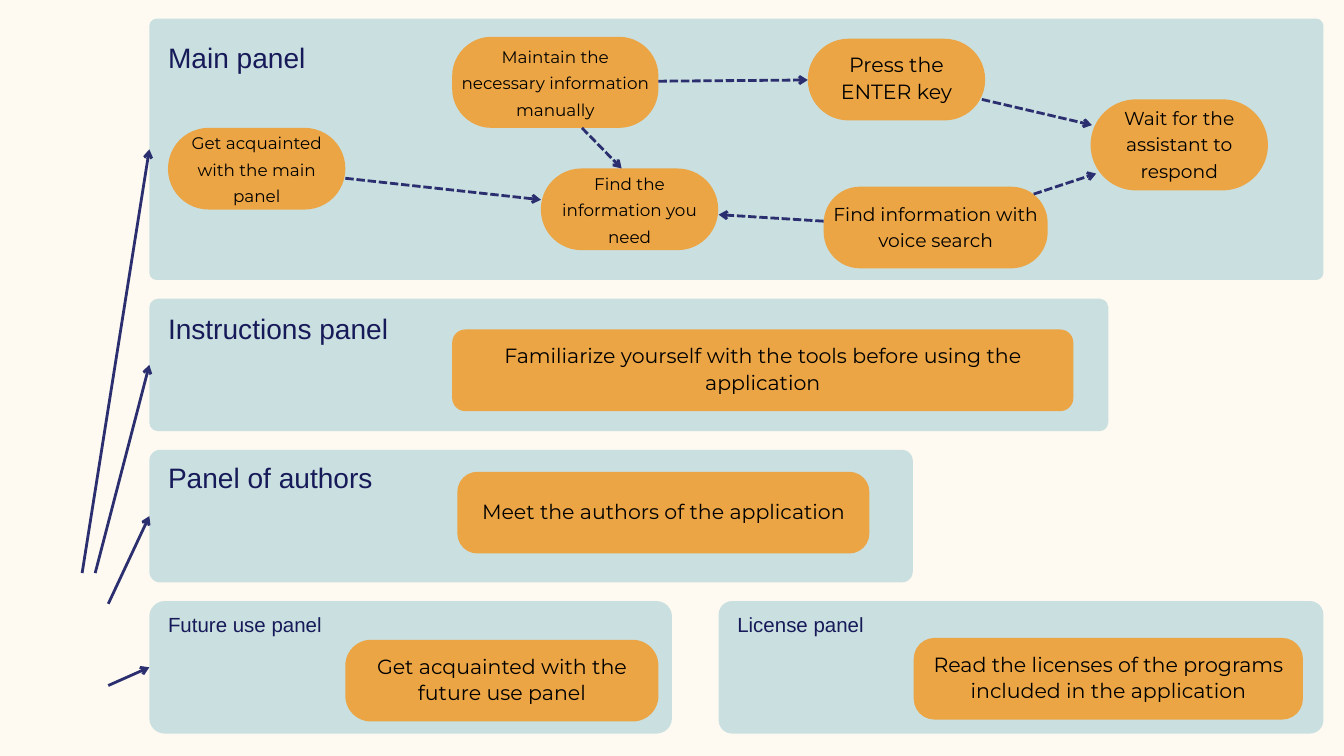
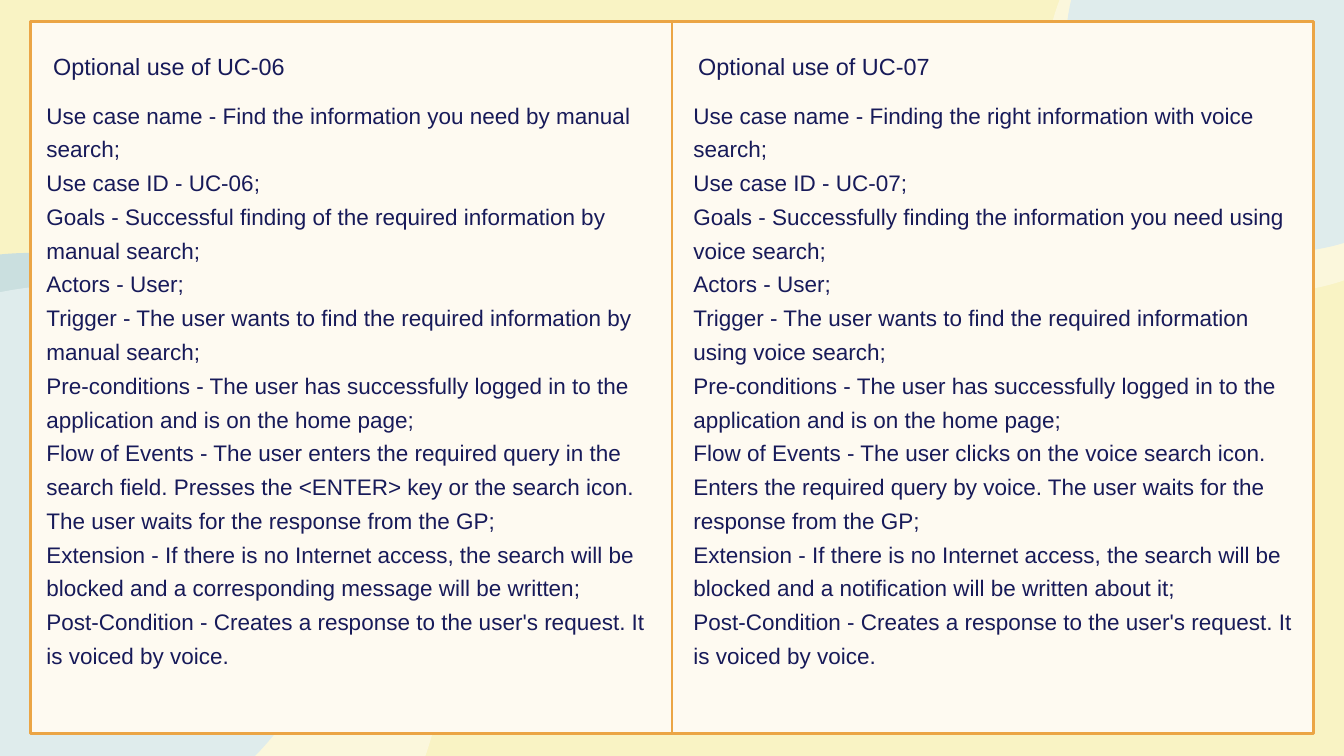
from pptx import Presentation
from pptx.dml.color import RGBColor
from pptx.enum import dml, shapes, text
from pptx.oxml.ns import qn
from pptx.util import Pt
from lxml import etree

CREAM = RGBColor(0xFE, 0xFA, 0xF1)
SAND = RGBColor(0xF9, 0xF3, 0xC4)
MIST = RGBColor(0xCA, 0xDF, 0xDF)
AMBER = RGBColor(0xEB, 0xA5, 0x45)
NAVY = RGBColor(0x17, 0x1A, 0x59)
INDIGO = RGBColor(0x2C, 0x2F, 0x6F)
BLACK = RGBColor(0, 0, 0)
WHITE = RGBColor(0xFF, 0xFF, 0xFF)
SANS, ROUND = "Arial", "Montserrat"
KIND = shapes.MSO_SHAPE

# Panels by row: heading, left, width, corner, heading drop, size, leading
TOP, GAP = 20, 20
ROWS = [
    (280, [("Main panel", 160, 1258, 7.7, 27.5, 30.1, 31.9)]),
    (142, [("Instructions panel", 160, 1027.5, 9.4, 18, 30.1, 31.9)]),
    (142, [("Panel of authors", 160, 818, 11.5, 15.7, 30.1, 31.9)]),
    (142, [("Future use panel", 160, 560, 16.5, 14.3, 21.9, 23.3),
           ("License panel", 770, 648, 14.4, 14.3, 21.9, 23.3)]),
]

# Steps: text, left, top, width, height, corner, size, side padding
STEPS = [
    ("Get acquainted with the main panel", 180, 137, 190, 87.5, 43.5, 18, 4.3),
    ("Maintain the necessary information manually",
     484.5, 39.5, 221, 97.5, 42, 18, 9),
    ("Press the ENTER key", 865.5, 41.5, 190, 87.5, 43.5, 22, 4.3),
    ("Wait for the assistant to respond",
     1168.5, 106.5, 190, 97.5, 48.7, 20, 4.3),
    ("Find information with voice search", 882.5, 200, 240, 87.5, 39, 20, 4.3),
    ("Find the information you need", 579.5, 180.5, 190, 87.5, 43.5, 18, 4.3),
    ("Familiarize yourself with the tools before using the application",
     484.5, 353, 665.5, 87.5, 14, 22, 4.3),
    ("Meet the authors of the application",
     490, 505.5, 441.5, 87.5, 21.5, 22, 4.3),
    ("Get acquainted with the future use panel",
     370, 685.5, 335.5, 87.5, 27.5, 22, 4.3),
    ("Read the licenses of the programs included in the application",
     979, 683.5, 417, 87.5, 22.3, 22, 4.3),
]

# Arrows: from x, y, to x, y
FLOWS = [
    (705.5, 87, 865.5, 85.7), (1052, 106.5, 1170, 134),
    (882.5, 237, 770, 230), (370, 191, 579.5, 214),
    (623.5, 137, 666, 180.5), (1107.5, 208, 1174.5, 186),
]
ENTRIES = [
    (88, 614, 160, 160), (102, 614, 160, 391),
    (116, 647, 160, 553), (116, 734.5, 160, 715),
]

# Use cases: id, body left, body width, heading left
CASES = [("UC-06", 49.7, 661.7, 57), ("UC-07", 743, 641.5, 748)]
# Label, then one text for both cases or one for each
FIELDS = [
    ("Use case name", "Find the information you need by manual search;",
     "Finding the right information with voice search;"),
    ("Use case ID", "UC-06;", "UC-07;"),
    ("Goals",
     "Successful finding of the required information by manual search;",
     "Successfully finding the information you need using voice search;"),
    ("Actors", "User;"),
    ("Trigger",
     "The user wants to find the required information by manual search;",
     "The user wants to find the required information using voice search;"),
    ("Pre-conditions", "The user has successfully logged in to the "
     "application and is on the home page;"),
    ("Flow of Events",
     "The user enters the required query in the search field. Presses the "
     "<ENTER> key or the search icon. The user waits for the response from "
     "the GP;",
     "The user clicks on the voice search icon. Enters the required query by "
     "voice. The user waits for the response from the GP;"),
    ("Extension",
     "If there is no Internet access, the search will be blocked and a "
     "corresponding message will be written;",
     "If there is no Internet access, the search will be blocked and a "
     "notification will be written about it;"),
    ("Post-Condition",
     "Creates a response to the user's request. It is voiced by voice."),
]

# Corner circles: left, top, width, height, colour, opacity
DISCS = [
    (-297, 271, 661, 638.5, MIST, 100), (-314.5, 305, 791, 765.5, WHITE, 41),
    (1142, -173, 458.5, 443.5, MIST, 100), (1120, -151, 481, 464.5, WHITE, 41),
]


def start(deck, color):
    slide = deck.slides.add_slide(deck.slide_layouts[5])
    slide.background.fill.solid()
    slide.background.fill.fore_color.rgb = color
    return slide


def block(slide, kind, box, color, line=None):
    shape = slide.shapes.add_shape(kind, *map(Pt, box))
    shape.shadow.inherit = False
    shape.fill.solid()
    shape.fill.fore_color.rgb = color
    if line is None:
        shape.line.fill.background()
    else:
        shape.line.color.rgb = line
        shape.line.width = Pt(3)
    return shape


def rounded(slide, box, corner, color):
    shape = block(slide, KIND.ROUNDED_RECTANGLE, box, color)
    shape.adjustments[0] = min(0.5, corner / min(box[2:]))


def write(shape, lines, size, lead, font=SANS, color=NAVY,
          align=text.PP_ALIGN.LEFT, anchor=text.MSO_ANCHOR.TOP, pad=(0, 0)):
    frame = shape.text_frame
    frame.word_wrap = True
    frame.auto_size = text.MSO_AUTO_SIZE.NONE
    frame.vertical_anchor = anchor
    frame.margin_left = frame.margin_right = Pt(pad[0])
    frame.margin_top = frame.margin_bottom = Pt(pad[1])
    for i, line in enumerate(lines):
        para = frame.add_paragraph() if i else frame.paragraphs[0]
        para.alignment = align
        para.line_spacing = Pt(lead)
        para.space_before = para.space_after = Pt(0)
        run = para.add_run()
        run.text = line
        run.font.name, run.font.size = font, Pt(size)
        run.font.color.rgb = color


def label(slide, box, lines, size, lead, **style):
    shape = slide.shapes.add_textbox(*map(Pt, box))
    write(shape, lines, size, lead, **style)


def heading(slide, first, box, line, size, lead):
    """The first heading on a slide is its title; the rest are labels."""
    if not first:
        return label(slide, box, [line], size, lead)
    title = slide.shapes.title
    title.left, title.top, title.width, title.height = map(Pt, box)
    write(title, [line], size, lead)
    title.element.getparent().append(title.element)  # bring to front


def arrow(slide, ends, dashed):
    link = slide.shapes.add_connector(
        shapes.MSO_CONNECTOR.STRAIGHT, *map(Pt, ends))
    link.line.color.rgb = INDIGO
    link.line.width = Pt(3)
    if dashed:
        link.line.dash_style = dml.MSO_LINE.SQUARE_DOT
    props = link.element.spPr
    etree.SubElement(props.find(qn("a:ln")), qn("a:tailEnd"), type="arrow")
    etree.SubElement(props, qn("a:effectLst"))


def panels(deck):
    slide = start(deck, CREAM)
    # Panels and headings
    top = TOP
    for high, row in ROWS:
        for name, left, wide, corner, drop, size, lead in row:
            rounded(slide, (left, top, wide, high), corner, MIST)
            heading(slide, top == TOP, (left + 20, top + drop, 284, lead + 1),
                    name, size, lead)
        top += high + GAP
    # Steps
    for line, x, y, wide, high, corner, size, pad in STEPS:
        rounded(slide, (x, y, wide, high), corner, AMBER)
        label(slide, (x, y - 5.4, wide, high + 5.4), [line], size, 28.6,
              font=ROUND, color=BLACK, align=text.PP_ALIGN.CENTER,
              anchor=text.MSO_ANCHOR.MIDDLE, pad=(pad, 4.3))
    # Arrows
    for ends in FLOWS:
        arrow(slide, ends, True)
    for ends in ENTRIES:
        arrow(slide, ends, False)


def cases(deck):
    slide = start(deck, SAND)
    # Corner circles
    for *box, color, alpha in DISCS:
        disc = block(slide, KIND.OVAL, box, color)
        if alpha < 100:
            tint = disc.element.spPr.find(qn("a:solidFill"))[0]
            etree.SubElement(tint, qn("a:alpha"), val=str(alpha * 1000))
    # Framed columns
    for i, (code, left, wide, head) in enumerate(CASES):
        block(slide, KIND.RECTANGLE, (33 + 687 * i, 23, 687, 763), CREAM, AMBER)
        lines = [f"{name} - {texts[i % len(texts)]}" for name, *texts in FIELDS]
        label(slide, (left, 101.5, wide, 618), lines, 24.1, 36.2)
        heading(slide, i == 0, (head, 39.5, 613, 47),
                f"Optional use of {code}", 25.1, 46)


def main():
    deck = Presentation()
    deck.slide_width, deck.slide_height = Pt(1440), Pt(810)
    panels(deck)
    cases(deck)
    deck.save("out.pptx")


if __name__ == "__main__":
    main()
